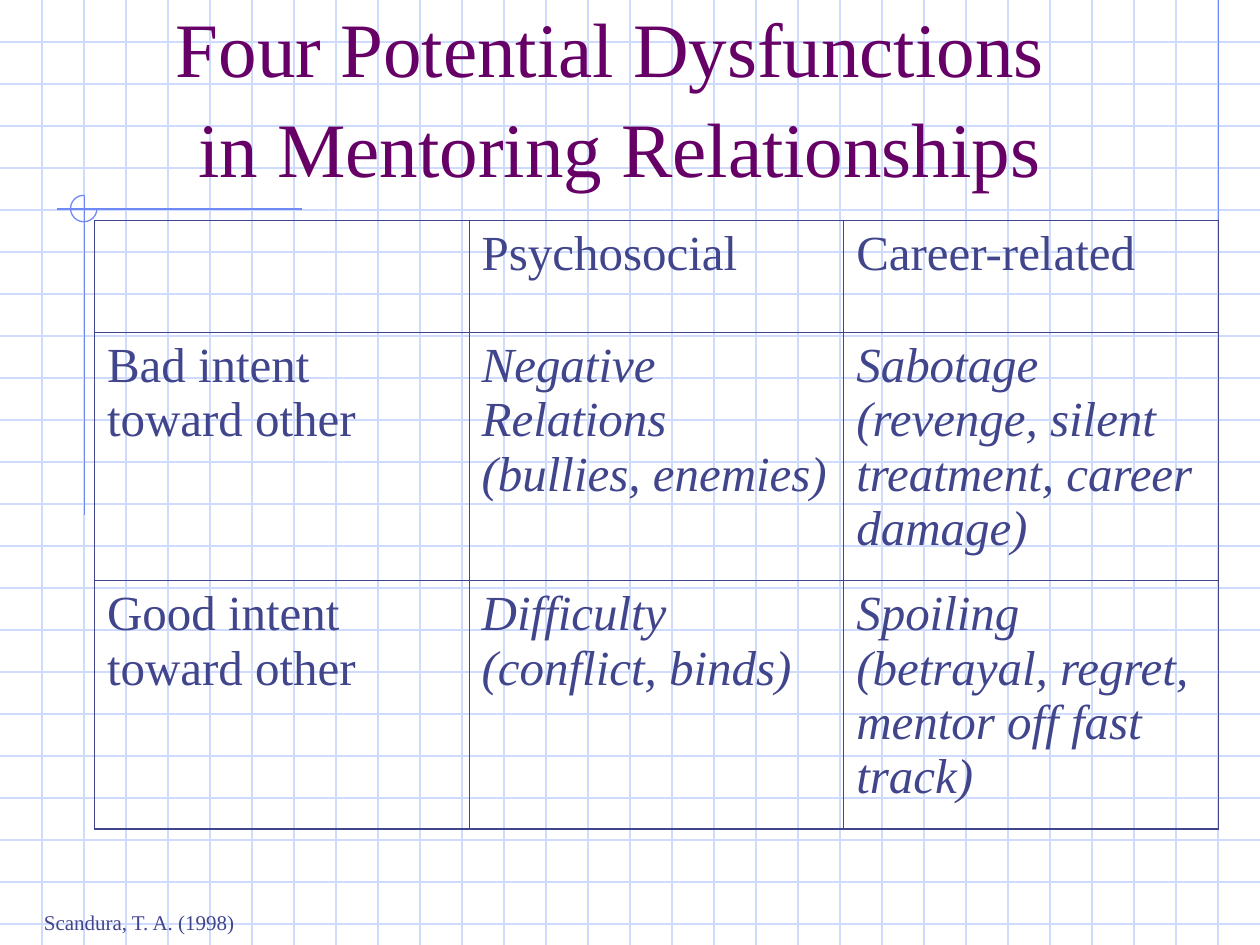
"""Builds the slide on dysfunctions in mentoring relationships."""
from dataclasses import dataclass

from lxml.etree import SubElement
from pptx import Presentation
from pptx.dml.color import RGBColor
from pptx.enum.shapes import MSO_CONNECTOR, MSO_SHAPE
from pptx.enum.text import MSO_ANCHOR, PP_ALIGN
from pptx.oxml.ns import qn
from pptx.util import Inches, Pt

FONT = "Times New Roman"
INK, TITLE, GRID, ACCENT = "40458C", "660066", "CFDBFD", "6F89F7"
WIDTH, HEIGHT, STEP = 10, 7.5, 1 / 3
OUTER, INNER = 1.08, 0.45


@dataclass
class Rule:
    x1: float
    y1: float
    x2: float
    y2: float
    color: str = GRID


@dataclass
class Entry:
    text: str
    italic: bool = False


ACCENT_RULES = [
    Rule(9.67, 0, 9.67, 2.58, ACCENT),
    Rule(2.4, 1.66, 0.45, 1.66, ACCENT),
    Rule(0.67, 1.55, 0.67, 4.09, ACCENT),
]
ROW_HEIGHTS = [0.89, 1.97, 1.97]
ROWS = [
    [Entry(""), Entry("Psychosocial"), Entry("Career-related")],
    [
        Entry("Bad intent toward other"),
        Entry("Negative Relations (bullies, enemies)", True),
        Entry("Sabotage (revenge, silent treatment, career damage)", True),
    ],
    [
        Entry("Good intent toward other"),
        Entry("Difficulty (conflict, binds)", True),
        Entry("Spoiling (betrayal, regret, mentor off fast track)", True),
    ],
]


def rgb(value: str) -> RGBColor:
    return RGBColor.from_string(value)


def write(tf, text: str, *, size: float, color: str = INK, italic: bool = False,
          align=PP_ALIGN.LEFT, anchor=MSO_ANCHOR.TOP, spacing: float = 1.0) -> None:
    tf.word_wrap = True
    tf.vertical_anchor = anchor
    p = tf.paragraphs[0]
    p.text = text
    p.alignment = align
    p.line_spacing = spacing
    for r in p.runs:
        r.font.name = FONT
        r.font.size = Pt(size)
        r.font.italic = italic
        r.font.color.rgb = rgb(color)


def add_text(s, left: float, top: float, width: float, height: float,
             text: str, **style) -> None:
    box = s.shapes.add_textbox(Inches(left), Inches(top), Inches(width), Inches(height))
    write(box.text_frame, text, **style)


def add_rule(s, rule: Rule) -> None:
    line = s.shapes.add_connector(
        MSO_CONNECTOR.STRAIGHT, Inches(rule.x1), Inches(rule.y1),
        Inches(rule.x2), Inches(rule.y2))
    line.line.color.rgb = rgb(rule.color)
    line.line.width = Pt(0.75)
    SubElement(line._element.spPr, qn("a:effectLst"))


def add_arc(s, left: float, top: float, size: float) -> None:
    sp = s.shapes.add_shape(
        MSO_SHAPE.ARC, Inches(left), Inches(top), Inches(size), Inches(size))
    sp.adjustments[0] = 0
    sp.adjustments[1] = 162
    sp.shadow.inherit = False
    sp.fill.background()
    sp.line.color.rgb = rgb(ACCENT)
    sp.line.width = Pt(0.75)


def set_borders(cell, **widths: float) -> None:
    props = cell._tc.get_or_add_tcPr()
    for side, width in widths.items():
        ln = SubElement(props, qn(f"a:ln{side}"), w=str(Pt(width)))
        fill = SubElement(ln, qn("a:solidFill"))
        SubElement(fill, qn("a:srgbClr"), val=INK)


def add_matrix(s, left: float, top: float, width: float) -> None:
    last_row, last_col = len(ROWS) - 1, len(ROWS[0]) - 1
    table = s.shapes.add_table(
        len(ROWS), len(ROWS[0]), Inches(left), Inches(top),
        Inches(width), Inches(sum(ROW_HEIGHTS))).table
    table.first_row = table.horz_banding = False
    for i, (row, height) in enumerate(zip(ROWS, ROW_HEIGHTS)):
        table.rows[i].height = Inches(height)
        for j, entry in enumerate(row):
            cell = table.cell(i, j)
            write(cell.text_frame, entry.text, size=28, italic=entry.italic)
            set_borders(
                cell,
                L=OUTER if j == 0 else INNER,
                R=OUTER if j == last_col else INNER,
                T=OUTER if i == 0 else INNER,
                B=OUTER if i == last_row else INNER)
            cell.fill.background()


def main() -> None:
    prs = Presentation()
    prs.slide_width, prs.slide_height = Inches(WIDTH), Inches(HEIGHT)
    s = prs.slides.add_slide(prs.slide_layouts[6])
    rows = [Rule(0, n * STEP, WIDTH, n * STEP) for n in range(1, 23)]
    columns = [Rule(n * STEP, 0, n * STEP, HEIGHT) for n in range(1, 30)]
    for rule in rows + columns + ACCENT_RULES:
        add_rule(s, rule)
    add_arc(s, 0.56, 1.55, 0.21)
    add_text(s, 0.67, 0.33, 8.5, 1.25,
             "Four Potential Dysfunctions \vin Mentoring Relationships",
             size=44, color=TITLE, align=PP_ALIGN.CENTER,
             anchor=MSO_ANCHOR.BOTTOM, spacing=1.08)
    add_matrix(s, 0.75, 1.75, 8.92)
    add_text(s, 0.25, 7.17, 3.08, 0.3, "Scandura, T. A. (1998)", size=12)
    prs.save("out.pptx")


if __name__ == "__main__":
    main()
